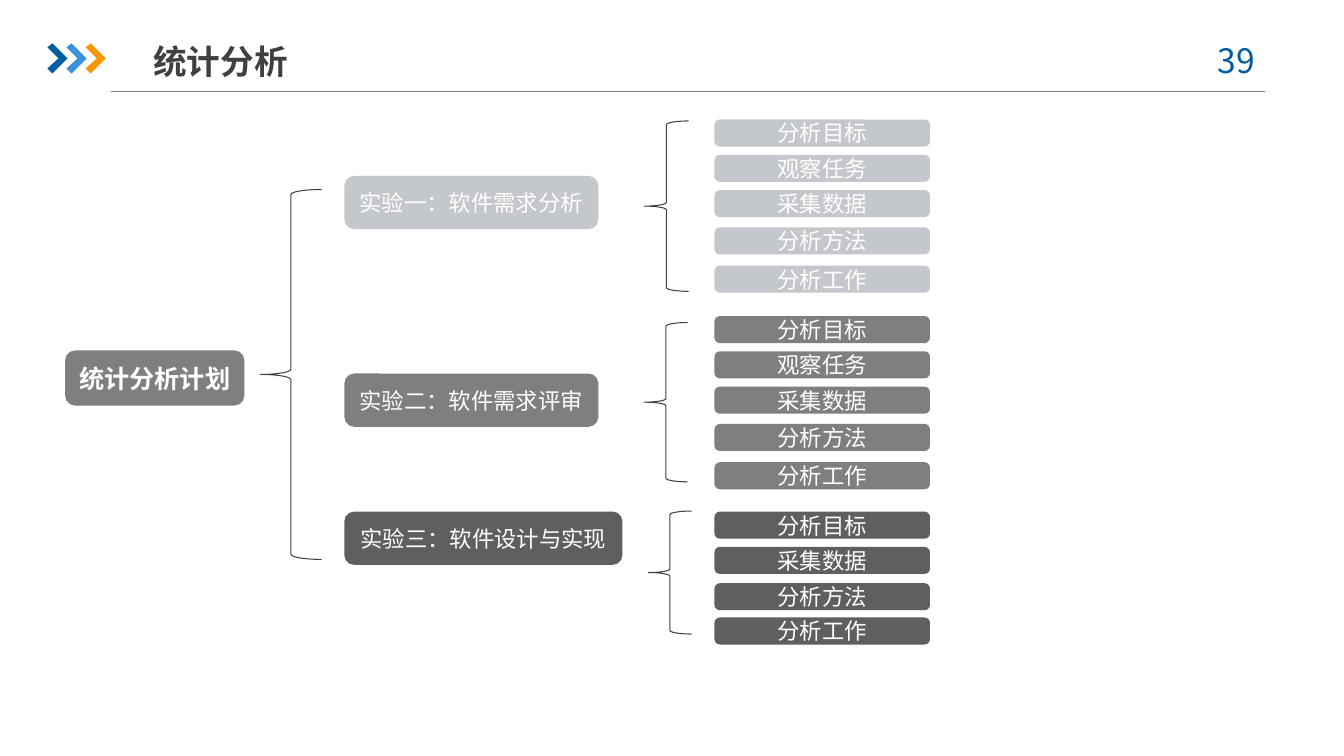
"""Build the statistical analysis plan slide: a three-level bracket tree."""
from lxml import etree
from pptx import Presentation
from pptx.dml.color import RGBColor
from pptx.enum.shapes import MSO_CONNECTOR, MSO_SHAPE
from pptx.enum.text import MSO_ANCHOR, PP_ALIGN
from pptx.oxml.ns import qn
from pptx.util import Inches, Pt

ROUND, BRACE = MSO_SHAPE.ROUNDED_RECTANGLE, MSO_SHAPE.LEFT_BRACE
STRAIGHT = MSO_CONNECTOR.STRAIGHT
LEFT, CENTER = PP_ALIGN.LEFT, PP_ALIGN.CENTER
TOP, MIDDLE = MSO_ANCHOR.TOP, MSO_ANCHOR.MIDDLE
NOTO, CALIBRI = "Noto Sans CJK SC", "Calibri"

COLORS = {
    "navy": "005DA2", "blue": "3992DB", "orange": "F79600", "dark": "404040",
    "rule": "808080", "light": "C4C7CB", "mid": "7F7F7F", "deep": "5F5F5F",
    "white": "FFFFFF",
}
TITLE, PAGE, ROOT = "统计分析", "39 ", "统计分析计划"
FIVE_STEPS = ["分析目标", "观察任务", "采集数据", "分析方法", "分析工作"]
FOUR_STEPS = ["分析目标", "采集数据", "分析方法", "分析工作"]
FIVE_OFFSETS = [0, 0.35, 0.7, 1.07, 1.45]
FOUR_OFFSETS = [0, 0.35, 0.71, 1.05]
EXPERIMENTS = [
    {"name": "实验一：软件需求分析", "color": "light", "top": 1.76, "width": 2.49,
     "steps": FIVE_STEPS, "offsets": FIVE_OFFSETS, "first": 1.2,
     "brace": (6.39, 1.2, 0.44, 1.69)},
    {"name": "实验二：软件需求评审", "color": "mid", "top": 3.72, "width": 2.49,
     "steps": FIVE_STEPS, "offsets": FIVE_OFFSETS, "first": 3.15,
     "brace": (6.39, 3.2, 0.43, 1.58)},
    {"name": "实验三：软件设计与实现", "color": "deep", "top": 5.09, "width": 2.73,
     "steps": FOUR_STEPS, "offsets": FOUR_OFFSETS, "first": 5.09,
     "brace": (6.43, 5.07, 0.43, 1.22)},
]
ROOT_BRACE = (2.58, 1.88, 0.61, 3.67)
CHEVRON = [(0, 0.04), (0.05, 0), (0.2, 0.15), (0.05, 0.3), (0, 0.25), (0.11, 0.15)]


def rgb(name):
    """Return the named colour."""
    return RGBColor.from_string(COLORS[name])


def write(tf, text, size=16, font=CALIBRI, color="white", bold=False,
          align=CENTER, anchor=MIDDLE, wrap=True):
    """Put one formatted line into a text frame."""
    tf.word_wrap = wrap
    tf.vertical_anchor = anchor
    p = tf.paragraphs[0]
    p.alignment = align
    r = p.add_run()
    r.text = text
    r.font.size, r.font.name, r.font.bold = Pt(size), font, bold
    r.font.color.rgb = rgb(color)
    ea = etree.Element(qn("a:ea"), typeface=NOTO)
    r.font._element.find(qn("a:latin")).addnext(ea)


def add_box(s, box, text, color, **fmt):
    """Add a filled rounded box with centred text."""
    sp = s.shapes.add_shape(ROUND, *map(Inches, box))
    sp.shadow.inherit = False
    sp.fill.solid()
    sp.fill.fore_color.rgb = sp.line.color.rgb = rgb(color)
    sp.line.width = Pt(2)
    write(sp.text_frame, text, **fmt)


def add_brace(s, box):
    """Add a thin left brace."""
    sp = s.shapes.add_shape(BRACE, *map(Inches, box))
    sp.shadow.inherit = False
    sp.fill.background()
    sp.line.color.rgb = rgb("dark")
    sp.line.width = Pt(0.75)


def add_header(s):
    """Add the rule, the three chevrons, the page number and the title."""
    rule = s.shapes.add_connector(STRAIGHT, Inches(1.1), Inches(0.91),
                                  Inches(12.55), Inches(0.91))
    rule.line.color.rgb = rgb("rule")
    rule.line.width = Pt(0.75)
    etree.SubElement(rule._element.spPr, qn("a:effectLst"))

    for i, color in enumerate(["navy", "blue", "orange"]):
        left = 0.47 + i * 0.19
        points = [(Inches(left + x), Inches(0.43 + y)) for x, y in CHEVRON]
        builder = s.shapes.build_freeform(*points[0], scale=1.0)
        builder.add_line_segments(points[1:], close=True)
        sp = builder.convert_to_shape()
        sp.shadow.inherit = False
        sp.fill.solid()
        sp.fill.fore_color.rgb = rgb(color)
        sp.line.fill.background()

    page = s.shapes.add_textbox(*map(Inches, (11.81, 0.35, 0.98, 0.5)))
    write(page.text_frame, PAGE, size=24, font=NOTO, color="navy", anchor=TOP)

    title = s.shapes.title
    title.left, title.top, title.width, title.height = map(
        Inches, (1.42, 0.36, 1.55, 0.5))
    write(title.text_frame, TITLE, size=24, font=NOTO, color="dark", bold=True,
          align=LEFT, anchor=TOP, wrap=False)


def main():
    """Build and save the slide."""
    prs = Presentation()
    prs.slide_width, prs.slide_height = Inches(13.33), Inches(7.5)
    s = prs.slides.add_slide(prs.slide_layouts[5])
    add_header(s)
    add_box(s, (0.66, 3.49, 1.75, 0.52), ROOT, "mid", size=18, font=NOTO, bold=True)
    add_brace(s, ROOT_BRACE)
    for e in EXPERIMENTS:
        add_box(s, (3.43, e["top"], e["width"], 0.5), e["name"], e["color"])
        add_brace(s, e["brace"])
        for step, offset in zip(e["steps"], e["offsets"]):
            add_box(s, (7.1, e["first"] + offset, 2.11, 0.24), step, e["color"])
    prs.save("out.pptx")


if __name__ == "__main__":
    main()
